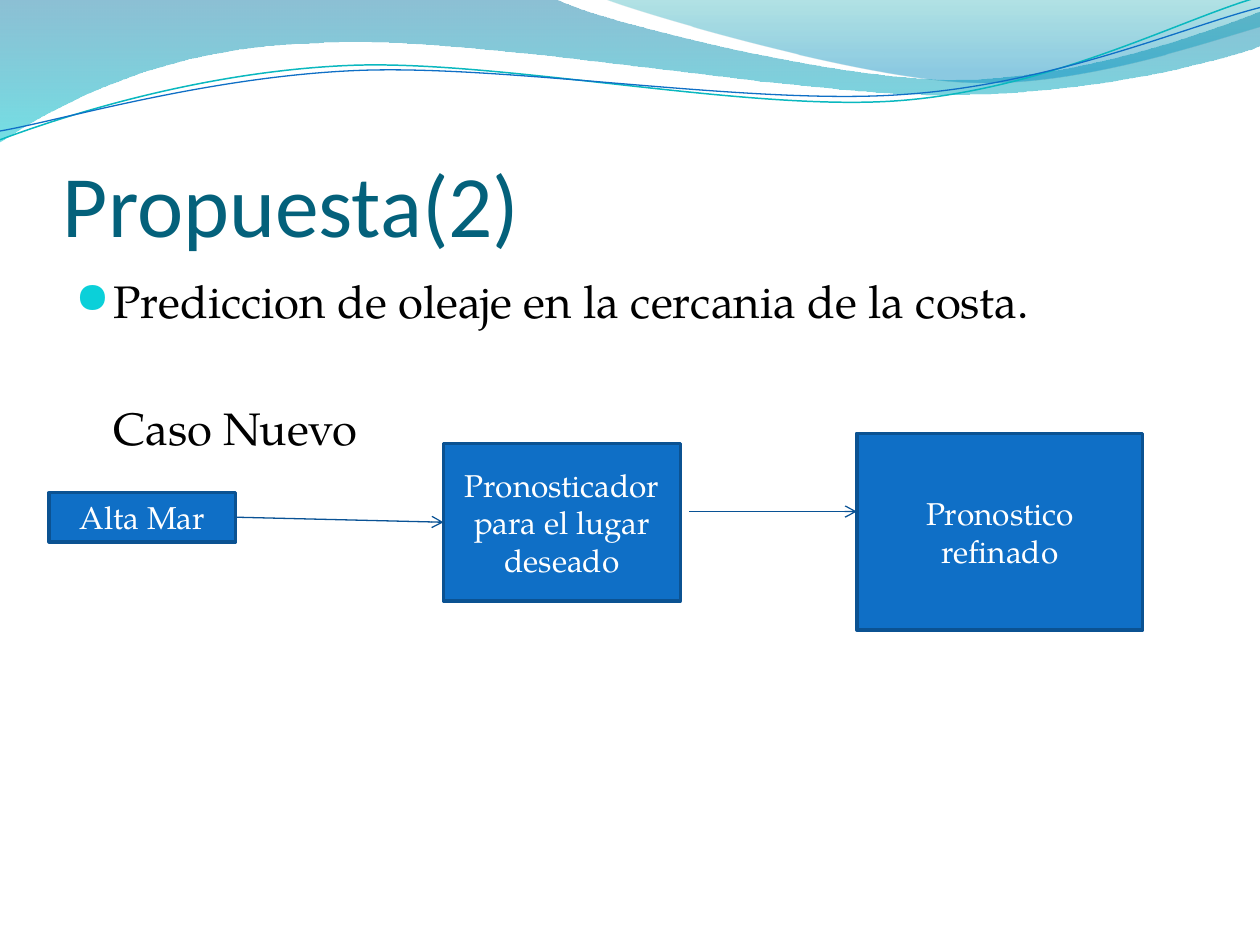
"""Build the wave-forecast proposal slide with its flow diagram."""
from lxml import etree
from pptx import Presentation
from pptx.dml.color import RGBColor
from pptx.enum.shapes import MSO_CONNECTOR as CONNECTOR, MSO_SHAPE as SHAPE
from pptx.enum.text import MSO_ANCHOR as ANCHOR, PP_ALIGN as ALIGN
from pptx.oxml import parse_xml
from pptx.oxml.ns import nsdecls, qn
from pptx.util import Inches, Pt

SERIF = "TeX Gyre Pagella"


def color(value):
    return RGBColor.from_string(value)


def write(paragraph, text, value, formats):
    paragraph.text = text
    paragraph.font.color.rgb = color(value)
    for name, setting in formats.items():
        setattr(paragraph.font, name, setting)


presentation = Presentation()
presentation.slide_width, presentation.slide_height = Inches(10), Inches(7.5)
slide = presentation.slides.add_slide(presentation.slide_layouts[6])
shapes = slide.shapes

# each segment holds one point for a line, or three points for a cubic curve
waves = [
    {"start": (0, 0),
     "segments": [(4.4, -0.01), (4.76, 0.17, 6.64, 0.63, 7.58, 0.63),
                  (8.53, 0.63, 9.58, 0.26, 10, 0.09), (10.01, 0.36),
                  (9.83, 0.44, 8.7, 0.76, 7.46, 0.75),
                  (6.22, 0.75, 3.82, 0.28, 2.57, 0.34),
                  (1.29, 0.36, 0.46, 0.83, -0.01, 1.13)],
     "stops": [(0, "0074A1", 45), (100, "00C6CF", 55)]},
    {"start": (4.79, -0.01),
     "segments": [(5.09, 0.11, 6.82, 0.62, 7.69, 0.65),
                  (8.56, 0.69, 9.61, 0.32, 10, 0.21), (10, 0)],
     "stops": [(0, "00A1A9", 30), (80, "008BBF", 45)]},
    {"start": (0, 1.11), "line": ("0AB8BF", 0.85),
     "segments": [(0.48, 0.93, 1.58, 0.57, 2.77, 0.52),
                  (3.95, 0.47, 5.93, 0.89, 7.13, 0.8),
                  (8.33, 0.71, 9.38, 0.15, 9.98, -0.02)]},
    {"start": (0, 1.04), "line": ("0F6FC6", 0.75),
     "segments": [(0.47, 0.96, 1.64, 0.61, 2.83, 0.56),
                  (4.03, 0.51, 5.97, 0.84, 7.17, 0.75),
                  (8.36, 0.67, 9.41, 0.21, 10, 0.06)]},
]
for wave in waves:
    closed = "stops" in wave
    builder = shapes.build_freeform(*map(Inches, wave["start"]))
    for segment in wave["segments"]:
        lengths = [Inches(number) for number in segment]
        builder.add_line_segments(list(zip(lengths[::2], lengths[1::2])), close=False)
    shape = builder.convert_to_shape()
    outline = next(shape.element.iter(qn("a:moveTo"))).getparent()
    nodes = iter(outline.findall(qn("a:lnTo")))
    for segment in wave["segments"]:
        node = next(nodes)
        if len(segment) == 6:
            curve = etree.Element(qn("a:cubicBezTo"))
            node.addprevious(curve)
            for control in (node, next(nodes), next(nodes)):
                curve.append(control[0])
                outline.remove(control)
    shape.shadow.inherit = False
    shape.fill.background()
    if closed:
        etree.SubElement(outline, qn("a:close"))
        shape.line.fill.background()
        stops = "".join(
            f'<a:gs pos="{position * 1000}"><a:srgbClr val="{value}">'
            f'<a:alpha val="{alpha * 1000}"/></a:srgbClr></a:gs>'
            for position, value, alpha in wave["stops"])
        gradient = parse_xml(f'<a:gradFill {nsdecls("a")}><a:gsLst>{stops}</a:gsLst>'
                             '<a:lin ang="5400000" scaled="0"/></a:gradFill>')
        properties = shape.element.spPr
        properties.replace(properties.find(qn("a:noFill")), gradient)
    else:
        value, width = wave["line"]
        shape.line.color.rgb = color(value)
        shape.line.width = Pt(width)

title = shapes.add_textbox(Inches(0.5), Inches(0.77), Inches(9), Inches(1.25))
title_format = {"word_wrap": True, "vertical_anchor": ANCHOR.BOTTOM,
                "margin_left": 0, "margin_right": 0, "margin_bottom": 0}
for name, setting in title_format.items():
    setattr(title.text_frame, name, setting)
write(title.text_frame.paragraphs[0], "Propuesta(2)", "04617B",
      {"name": "Calibri", "size": Pt(50)})

body = shapes.add_textbox(Inches(0.5), Inches(2.12), Inches(9), Inches(4.8))
frame = body.text_frame
frame.word_wrap = True
bullet_item, case_item = frame.paragraphs[0], frame.add_paragraph()
for paragraph, indent in ((bullet_item, -0.3), (case_item, 0)):
    properties = paragraph._p.get_or_add_pPr()
    properties.set("marL", str(Inches(0.3)))
    properties.set("indent", str(Inches(indent)))
bullet = bullet_item._p.get_or_add_pPr()
bullet_color = etree.SubElement(bullet, qn("a:buClr"))
etree.SubElement(bullet_color, qn("a:srgbClr"), val="0BD0D9")
etree.SubElement(bullet, qn("a:buSzPct"), val="95000")
etree.SubElement(bullet, qn("a:buFont"), typeface="OpenSymbol")
etree.SubElement(bullet, qn("a:buChar"), char="●")
case_item.space_before = Pt(41)
for paragraph, text in ((bullet_item, "Prediccion de oleaje en la cercania de la costa."),
                        (case_item, "Caso Nuevo")):
    write(paragraph, text, "000000", {"name": SERIF, "size": Pt(26)})

boxes = []
for left, top, width, height, lines in (
        (0.39, 3.91, 1.48, 0.39, ["Alta Mar"]),
        (3.52, 3.52, 1.88, 1.25, ["Pronosticador", "para el lugar deseado"]),
        (6.8, 3.44, 2.27, 1.56, ["Pronostico refinado"])):
    box = shapes.add_shape(SHAPE.RECTANGLE, Inches(left), Inches(top),
                           Inches(width), Inches(height))
    box.shadow.inherit = False
    box.fill.solid()
    box.fill.fore_color.rgb = color("0F6FC6")
    box.line.color.rgb = color("0B5292")
    box.line.width = Pt(2)
    frame = box.text_frame
    frame.word_wrap = True
    frame.vertical_anchor = ANCHOR.MIDDLE
    for index, line in enumerate(lines):
        paragraph = frame.add_paragraph() if index else frame.paragraphs[0]
        paragraph.alignment = ALIGN.CENTER
        write(paragraph, line, "FFFFFF", {"name": SERIF, "size": Pt(18)})
    boxes.append(box)

arrows = [shapes.add_connector(CONNECTOR.STRAIGHT, *map(Inches, ends))
          for ends in ((1.87, 4.1, 3.52, 4.14), (5.47, 4.06, 6.8, 4.06))]
arrows[0].begin_connect(boxes[0], 3)
arrows[0].end_connect(boxes[1], 1)
for arrow in arrows:
    arrow.line.color.rgb = color("095295")
    arrow.line.width = Pt(0.75)
    etree.SubElement(arrow.line._get_or_add_ln(), qn("a:tailEnd"), type="arrow")
    etree.SubElement(arrow.element.spPr, qn("a:effectLst"))

presentation.save("out.pptx")
